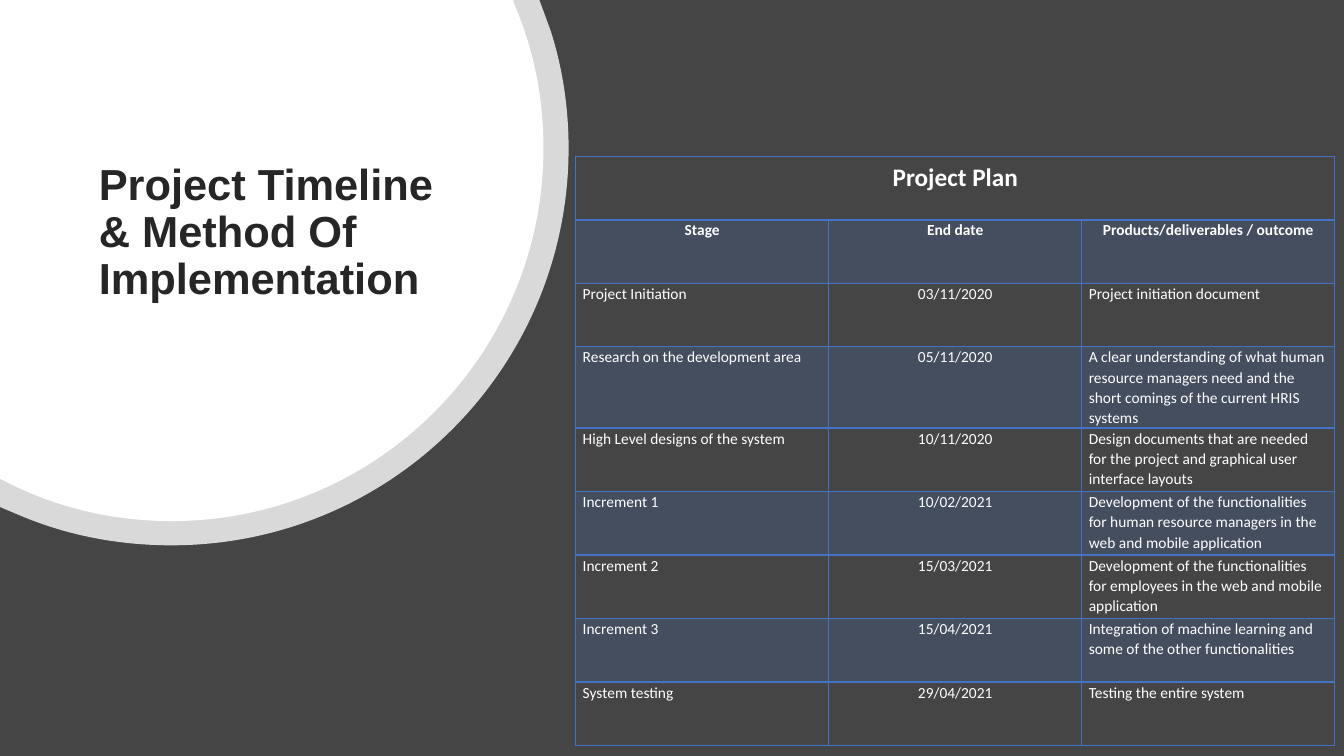
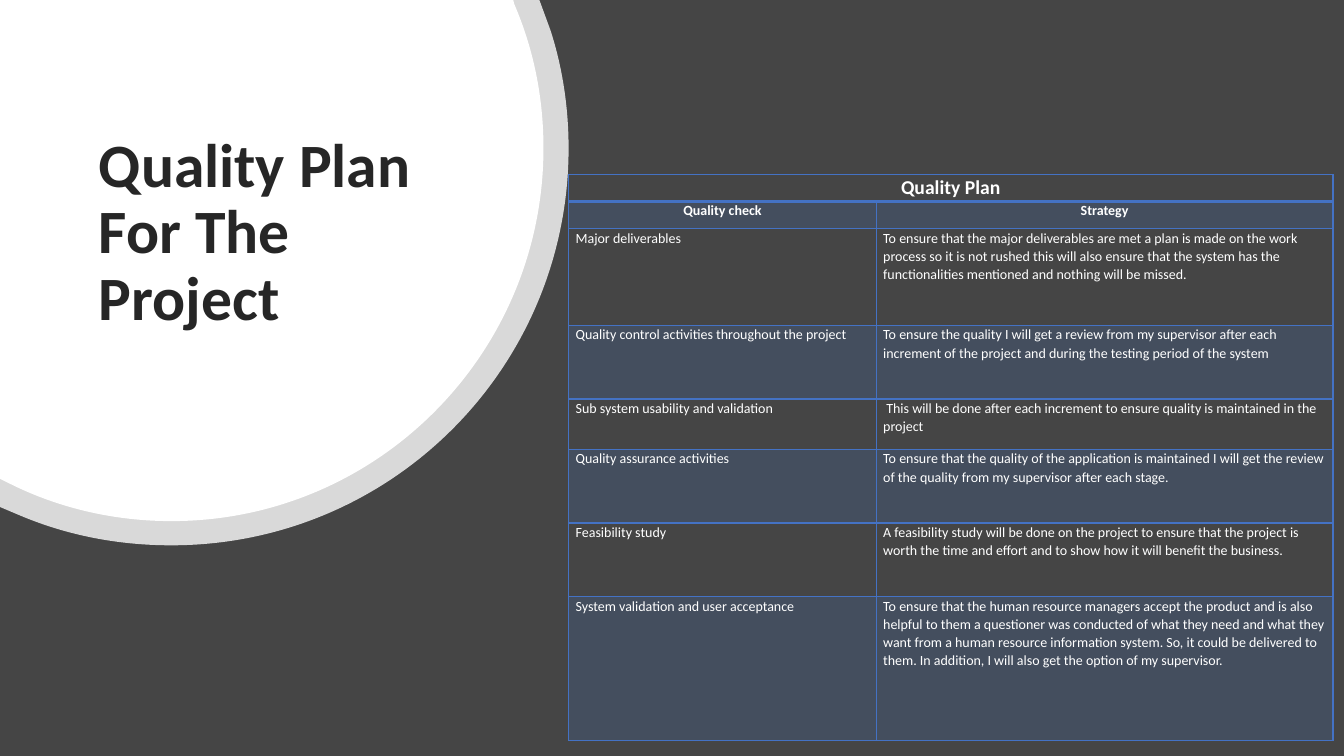
from dataclasses import dataclass

from lxml import etree
from pptx import Presentation
from pptx.dml.color import RGBColor
from pptx.enum.text import MSO_ANCHOR, MSO_AUTO_SIZE, PP_ALIGN
from pptx.oxml.ns import qn
from pptx.util import Inches, Pt

LEFT, CENTER = PP_ALIGN.LEFT, PP_ALIGN.CENTER
TOP, MIDDLE = MSO_ANCHOR.TOP, MSO_ANCHOR.MIDDLE
NO_AUTOFIT = MSO_AUTO_SIZE.NONE

CHARCOAL = RGBColor(0x45, 0x45, 0x45)
WHITE = RGBColor(0xFF, 0xFF, 0xFF)
INK = RGBColor(0x26, 0x26, 0x26)
BLUE = RGBColor(0x44, 0x72, 0xC4)

TITLE_ONLY_LAYOUT = 5
BAND_OPACITY = 20
BORDER_SIDES = ("L", "R", "T", "B")

Point = tuple[float, float]


@dataclass(frozen=True)
class Disc:
    opacity: int
    segments: tuple[tuple[Point, ...], ...]


@dataclass(frozen=True)
class CellStyle:
    size: float
    bold: bool = False
    alignment: PP_ALIGN = LEFT
    line_spacing: float = 1.07
    margin_x: float = 0.07
    margin_y: float = 0
    banded: bool = False
    bottom_border: float = 1


@dataclass(frozen=True)
class PlanSlide:
    title: str
    title_font: str
    title_size: float
    left: float
    top: float
    column_widths: tuple[float, ...]
    row_heights: tuple[float, ...]
    caption: str
    caption_style: CellStyle
    body_size: float
    centered_columns: tuple[int, ...]
    rows: tuple[tuple[str, ...], ...]


DISCS = (
    Disc(80, (
        ((5.35, 0),),
        ((5.46, 0.3),),
        ((5.58, 0.67), (5.64, 1.07), (5.64, 1.47)),
        ((5.64, 3.65), (3.88, 5.41), (1.7, 5.41)),
        ((1.17, 5.41), (0.66, 5.31), (0.19, 5.11)),
        ((0, 5.03),),
    )),
    Disc(100, (
        ((5.09, 0),),
        ((5.1, 0.04),),
        ((5.29, 0.48), (5.39, 0.96), (5.39, 1.47)),
        ((5.39, 3.51), (3.74, 5.17), (1.7, 5.17)),
        ((1.13, 5.17), (0.58, 5.04), (0.1, 4.8)),
        ((0, 4.75),),
    )),
)

PLAN_SLIDES = (
    PlanSlide(
        title="Project Timeline & Method Of Implementation",
        title_font="Arial",
        title_size=31,
        left=5.71,
        top=1.55,
        column_widths=(2.51,) * 3,
        row_heights=(0.63,) * 3 + (0.8,) + (0.63,) * 5,
        caption="Project Plan",
        caption_style=CellStyle(18, True, CENTER, 1.0, 0.11, 0.06, bottom_border=2),
        body_size=11,
        centered_columns=(1,),
        rows=(
            ("Stage", "End date", "Products/deliverables / outcome"),
            ("Project Initiation", "03/11/2020", "Project initiation document"),
            ("Research on the development area", "05/11/2020",
             "A clear understanding of what human resource managers need and "
             "the short comings of the current HRIS systems"),
            ("High Level designs of the system", "10/11/2020",
             "Design documents that are needed for the project and graphical "
             "user interface layouts"),
            ("Increment 1", "10/02/2021",
             "Development of the functionalities for human resource managers "
             "in the web and mobile application"),
            ("Increment 2", "15/03/2021",
             "Development of the functionalities for employees in the web and "
             "mobile application"),
            ("Increment 3", "15/04/2021",
             "Integration of machine learning and some of the other functionalities"),
            ("System testing", "29/04/2021", "Testing the entire system"),
        ),
    ),
    PlanSlide(
        title="Quality Plan For The Project",
        title_font="Calibri",
        title_size=44,
        left=5.64,
        top=1.73,
        column_widths=(3.05, 4.53),
        row_heights=(0.27, 0.27, 0.96, 0.73, 0.5, 0.73, 0.73, 1.43),
        caption="Quality Plan",
        caption_style=CellStyle(14, True, CENTER, bottom_border=2),
        body_size=10,
        centered_columns=(),
        rows=(
            ("Quality check", "Strategy"),
            ("Major deliverables",
             "To ensure that the major deliverables are met a plan is made on "
             "the work process so it is not rushed this will also ensure that "
             "the system has the functionalities mentioned and nothing will be "
             "missed."),
            ("Quality control activities throughout the project",
             "To ensure the quality I will get a review from my supervisor "
             "after each increment of the project and during the testing "
             "period of the system "),
            ("Sub system usability and validation",
             " This will be done after each increment to ensure quality is "
             "maintained in the project"),
            ("Quality assurance activities",
             "To ensure that the quality of the application is maintained I "
             "will get the review of the quality from my supervisor after each "
             "stage."),
            ("Feasibility study",
             "A feasibility study will be done on the project to ensure that "
             "the project is worth the time and effort and to show how it will "
             "benefit the business."),
            ("System validation and user acceptance",
             "To ensure that the human resource managers accept the product "
             "and is also helpful to them a questioner was conducted of what "
             "they need and what they want from a human resource information "
             "system. So, it could be delivered to them. In addition, I will "
             "also get the option of my supervisor."),
        ),
    ),
)


def apply_format(target, values: dict) -> None:
    for name, value in values.items():
        setattr(target, name, value)


def format_text(paragraph, paragraph_values: dict, font_values: dict, color: RGBColor) -> None:
    apply_format(paragraph, paragraph_values)
    for run in paragraph.runs:
        apply_format(run.font, font_values)
        run.font.color.rgb = color


def fill_solid(fill, element, color: RGBColor, opacity: int) -> None:
    fill.solid()
    fill.fore_color.rgb = color
    if opacity < 100:
        color_element = element.find(f"{qn('a:solidFill')}/{qn('a:srgbClr')}")
        etree.SubElement(color_element, qn("a:alpha"), val=str(opacity * 1000))


def curve_segments(shape, disc: Disc) -> None:
    lines = iter(list(shape._element.spPr.iter(qn("a:lnTo"))))
    for segment in disc.segments:
        segment_lines = [next(lines) for _ in segment]
        if len(segment) == 1:
            continue
        outline = segment_lines[0].getparent()
        curve = etree.Element(qn("a:cubicBezTo"))
        outline.insert(outline.index(segment_lines[0]), curve)
        for line in segment_lines:
            curve.append(line[0])
            outline.remove(line)


def draw_disc(slide, disc: Disc) -> None:
    points = [(Inches(x), Inches(y)) for segment in disc.segments for x, y in segment]
    builder = slide.shapes.build_freeform(0, 0)
    builder.add_line_segments(points, close=True)
    shape = builder.convert_to_shape()
    curve_segments(shape, disc)
    shape.shadow.inherit = False
    shape.line.fill.background()
    fill_solid(shape.fill, shape._element.spPr, WHITE, disc.opacity)


def draw_title(slide, plan: PlanSlide) -> None:
    title = slide.shapes.title
    slide.shapes._spTree.append(title._element)
    apply_format(title, {
        "left": Inches(0.88), "top": Inches(0.66),
        "width": Inches(3.52), "height": Inches(3.32),
    })
    title.text_frame.text = plan.title
    apply_format(title.text_frame, {
        "word_wrap": True, "auto_size": NO_AUTOFIT, "vertical_anchor": MIDDLE,
    })
    format_text(
        title.text_frame.paragraphs[0],
        {"alignment": LEFT, "line_spacing": 0.9},
        {"name": plan.title_font, "size": Pt(plan.title_size), "bold": True},
        INK,
    )


def add_borders(cell, bottom_width: float) -> None:
    properties = cell._tc.get_or_add_tcPr()
    for side in BORDER_SIDES:
        width = bottom_width if side == "B" else 1
        line = etree.SubElement(properties, qn(f"a:ln{side}"), w=str(Pt(width)))
        solid = etree.SubElement(line, qn("a:solidFill"))
        etree.SubElement(solid, qn("a:srgbClr"), val=str(BLUE))


def format_cell(cell, text: str, style: CellStyle) -> None:
    cell.text = text
    apply_format(cell, {
        "margin_left": Inches(style.margin_x), "margin_right": Inches(style.margin_x),
        "margin_top": Inches(style.margin_y), "margin_bottom": Inches(style.margin_y),
        "vertical_anchor": TOP,
    })
    format_text(
        cell.text_frame.paragraphs[0],
        {"alignment": style.alignment, "line_spacing": style.line_spacing},
        {"name": "Calibri", "size": Pt(style.size), "bold": style.bold},
        WHITE,
    )
    add_borders(cell, style.bottom_border)
    if style.banded:
        fill_solid(cell.fill, cell._tc.tcPr, BLUE, BAND_OPACITY)
    else:
        cell.fill.background()


def draw_table(slide, plan: PlanSlide) -> None:
    column_count = len(plan.column_widths)
    table = slide.shapes.add_table(
        len(plan.row_heights), column_count,
        Inches(plan.left), Inches(plan.top),
        Inches(sum(plan.column_widths)), Inches(sum(plan.row_heights)),
    ).table
    apply_format(table, {"first_row": False, "horz_banding": False})
    for column, width in zip(table.columns, plan.column_widths):
        column.width = Inches(width)
    for row, height in zip(table.rows, plan.row_heights):
        row.height = Inches(height)

    table.cell(0, 0).merge(table.cell(0, column_count - 1))
    format_cell(table.cell(0, 0), plan.caption, plan.caption_style)
    for row_index, texts in enumerate(plan.rows, start=1):
        is_header = row_index == 1
        for column_index, text in enumerate(texts):
            centered = is_header or column_index in plan.centered_columns
            style = CellStyle(
                plan.body_size,
                bold=is_header,
                alignment=CENTER if centered else LEFT,
                banded=row_index % 2 == 1,
            )
            format_cell(table.cell(row_index, column_index), text, style)


def build_presentation() -> None:
    presentation = Presentation()
    apply_format(presentation, {"slide_width": Inches(13.33), "slide_height": Inches(7.5)})
    background = presentation.slide_master.background.fill
    background.solid()
    background.fore_color.rgb = CHARCOAL
    for plan in PLAN_SLIDES:
        slide = presentation.slides.add_slide(presentation.slide_layouts[TITLE_ONLY_LAYOUT])
        for disc in DISCS:
            draw_disc(slide, disc)
        draw_title(slide, plan)
        draw_table(slide, plan)
    presentation.save("out.pptx")


build_presentation()
